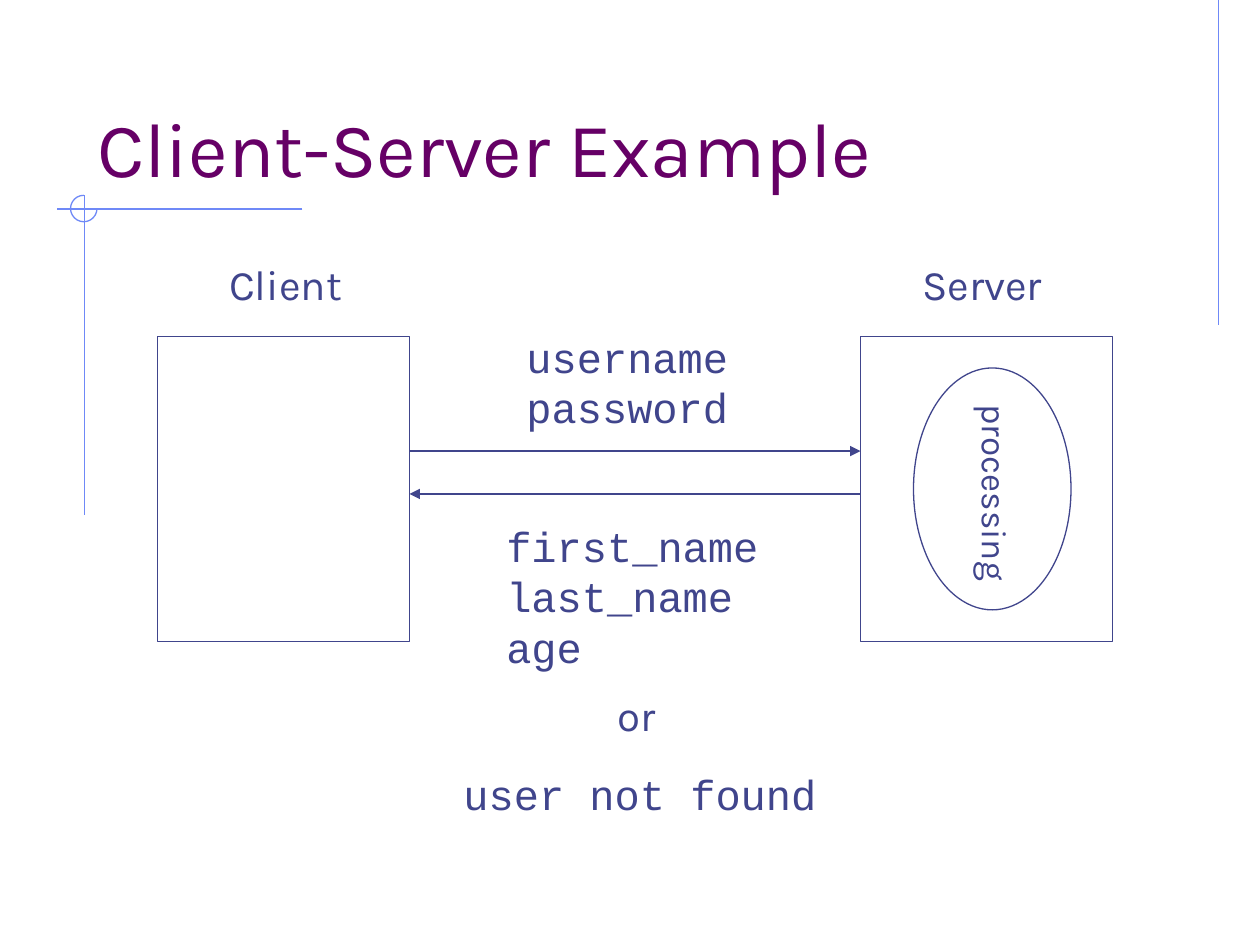
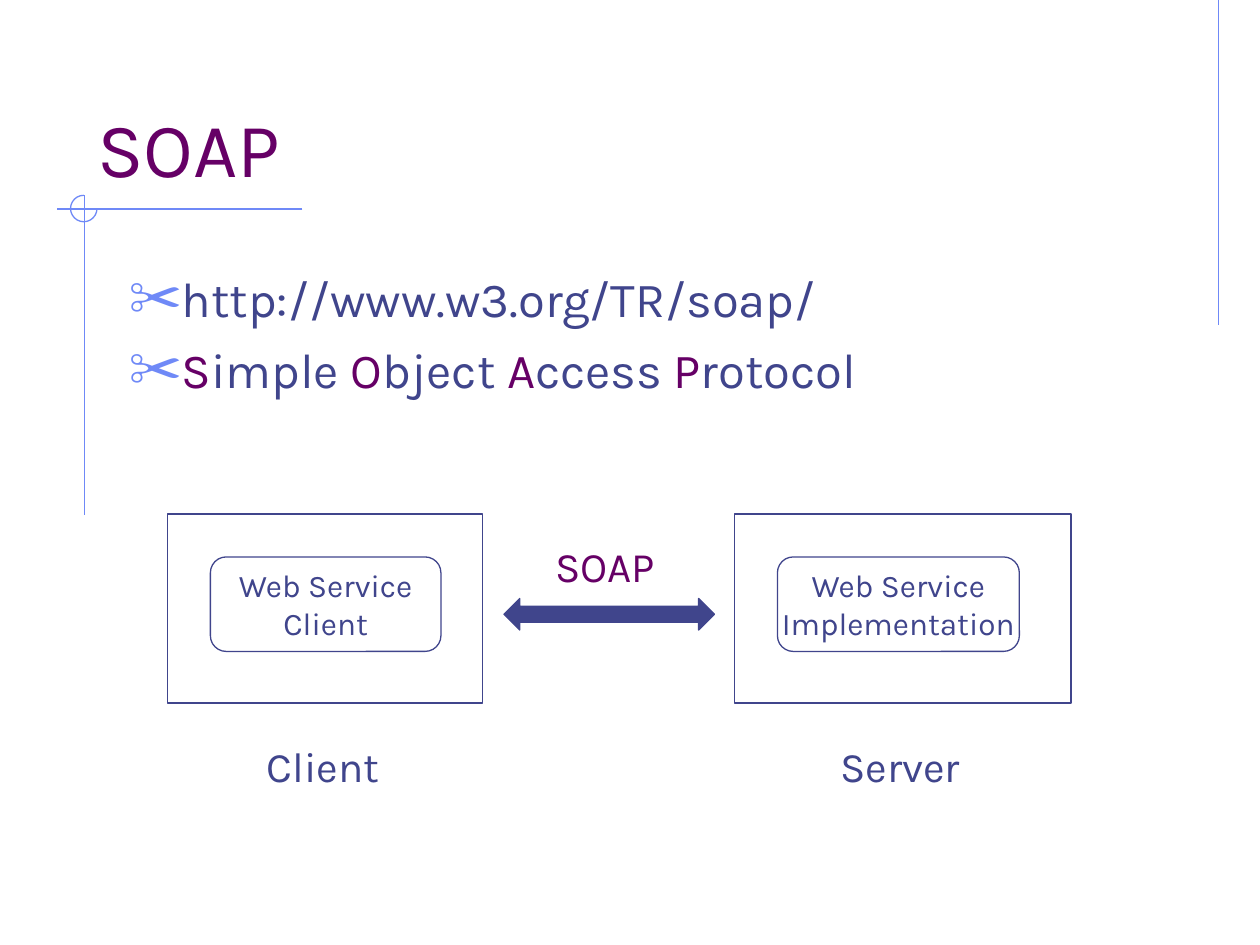
from lxml.etree import SubElement
from pptx import Presentation
from pptx.dml.color import RGBColor
from pptx.enum.shapes import MSO_CONNECTOR, MSO_SHAPE
from pptx.enum.text import MSO_ANCHOR, MSO_AUTO_SIZE, PP_ALIGN
from pptx.oxml.ns import qn
from pptx.util import Inches, Pt

INK = RGBColor(0x40, 0x45, 0x8C)
PLUM = RGBColor(0x66, 0x00, 0x66)
SKY = RGBColor(0x6F, 0x89, 0xF7)
SANS = "Karla"
MONO = "Courier New"


def style(font, size, color=INK, name=SANS):
    font.name = name
    font.size = Pt(size)
    font.color.rgb = color


def place(shape, left, top, width, height):
    shape.left, shape.top = Inches(left), Inches(top)
    shape.width, shape.height = Inches(width), Inches(height)


def add_line(slide, start, end, color=INK, arrow=False):
    line = slide.shapes.add_connector(
        MSO_CONNECTOR.STRAIGHT, *[Inches(v) for v in (*start, *end)])
    line.line.color.rgb = color
    line.line.width = Pt(0.75)
    if arrow:
        tail = SubElement(line.line._get_or_add_ln(), qn("a:tailEnd"))
        tail.set("type", "triangle")
    SubElement(line._element.spPr, qn("a:effectLst"))


def add_form(slide, kind, box, color=INK, fill=None):
    form = slide.shapes.add_shape(kind, *[Inches(v) for v in box])
    form.shadow.inherit = False
    form.line.color.rgb = color
    form.line.width = Pt(0.75)
    if fill is None:
        form.fill.background()
    else:
        form.fill.solid()
        form.fill.fore_color.rgb = fill
    return form


def write(frame, text, size, color=INK, name=SANS, align=PP_ALIGN.LEFT):
    frame.text = text
    for para in frame.paragraphs:
        para.alignment = align
        style(para.font, size, color, name)


def add_label(slide, text, box, size=24, color=INK, name=SANS, turn=0):
    label = slide.shapes.add_textbox(*[Inches(v) for v in box])
    label.rotation = turn
    frame = label.text_frame
    frame.word_wrap = False
    frame.auto_size = MSO_AUTO_SIZE.SHAPE_TO_FIT_TEXT
    write(frame, text, size, color, name)


def add_host(slide, name, box, spot):
    """A machine: an outlined box and its name at the given spot."""
    add_form(slide, MSO_SHAPE.RECTANGLE, box)
    add_label(slide, name, (*spot, 1.2, 0.5))


def add_part(slide, text, box):
    part = add_form(slide, MSO_SHAPE.ROUNDED_RECTANGLE, box)
    part.adjustments[0] = 0.167
    frame = part.text_frame
    frame.word_wrap = False
    frame.vertical_anchor = MSO_ANCHOR.MIDDLE
    write(frame, text, 18, align=PP_ALIGN.CENTER)


def add_bullet(para):
    props = para._p.get_or_add_pPr()
    props.set("marL", str(Inches(0.38)))
    props.set("indent", str(Inches(-0.38)))
    tint = SubElement(props, qn("a:buClr"))
    SubElement(tint, qn("a:srgbClr")).set("val", str(SKY))
    SubElement(props, qn("a:buSzPct")).set("val", "110000")
    SubElement(props, qn("a:buChar")).set("char", "✂")


def add_list(slide, items):
    """Fill the body; each item is a list of (text, color) runs."""
    body = slide.placeholders[1]
    place(body, 0.92, 2.08, 8.5, 1.25)
    frame = body.text_frame
    frame.auto_size = MSO_AUTO_SIZE.NONE
    for i, runs in enumerate(items):
        para = frame.add_paragraph() if i else frame.paragraphs[0]
        add_bullet(para)
        para.space_before = Pt(7 if i else 0)
        style(para.font, 28)
        for text, color in runs:
            run = para.add_run()
            run.text = text
            run.font.color.rgb = color


def start_slide(deck, layout, title):
    """Add a slide with the shared rules, arc and title."""
    slide = deck.slides.add_slide(deck.slide_layouts[layout])
    add_line(slide, (9.67, 0), (9.67, 2.58), SKY)
    add_line(slide, (2.4, 1.66), (0.45, 1.66), SKY)
    add_line(slide, (0.67, 1.55), (0.67, 4.09), SKY)
    arc = add_form(slide, MSO_SHAPE.ARC, (0.56, 1.55, 0.21, 0.21), SKY)
    arc.adjustments[0] = 0
    arc.adjustments[1] = 162  # 270 degrees

    head = slide.shapes.title
    place(head, 0.67, 0.33, 8.5, 1.25)
    frame = head.text_frame
    frame.auto_size = MSO_AUTO_SIZE.NONE
    frame.vertical_anchor = MSO_ANCHOR.BOTTOM
    write(frame, title, 44, PLUM)
    return slide


def build_client(deck):
    slide = start_slide(deck, 5, "Client-Server Example")
    # Machines
    add_host(slide, "Client", (1.25, 2.67, 2, 2.42), (1.72, 2))
    add_host(slide, "Server", (6.83, 2.67, 2, 2.42), (7.22, 2))
    add_label(slide, "processing", (7.09, 3.7, 1.62, 0.44), 20, turn=90)
    add_form(slide, MSO_SHAPE.OVAL, (7.25, 2.92, 1.25, 1.92))
    # Request and reply
    add_line(slide, (3.25, 3.58), (6.83, 3.58), arrow=True)
    add_line(slide, (6.83, 3.92), (3.25, 3.92), arrow=True)
    for text, box in (
        ("username\npassword", (4.08, 2.58, 1.8, 0.9)),
        ("first_name\nlast_name\nage", (3.92, 4.08, 2.2, 1.3)),
        ("user not found", (3.58, 6.05, 3, 0.5)),
    ):
        add_label(slide, text, box, name=MONO)
    add_label(slide, "or", (4.8, 5.42, 0.54, 0.5))


def build_soap(deck):
    slide = start_slide(deck, 1, "SOAP")
    words = "Simple ", "Object ", "Access ", "Protocol"
    terms = [run for word in words
             for run in ((word[0], PLUM), (word[1:], INK))]
    add_list(slide, [[("http://www.w3.org/TR/soap/", INK)], terms])
    # Machines and what runs on them
    add_host(slide, "Client", (1.33, 4.08, 2.5, 1.5), (2.02, 5.83))
    add_part(slide, "Web Service\nClient", (1.67, 4.42, 1.83, 0.75))
    add_host(slide, "Server", (5.83, 4.08, 2.67, 1.5), (6.57, 5.83))
    add_part(slide, "Web Service\nImplementation", (6.17, 4.42, 1.92, 0.75))
    # Link between them
    add_form(slide, MSO_SHAPE.LEFT_RIGHT_ARROW, (4, 4.75, 1.67, 0.25),
             fill=INK)
    add_label(slide, "SOAP", (4.31, 4.24, 1.06, 0.5), color=PLUM)


def main():
    deck = Presentation()
    deck.slide_width, deck.slide_height = Inches(10), Inches(7.5)
    build_client(deck)
    build_soap(deck)
    deck.save("out.pptx")


if __name__ == "__main__":
    main()
